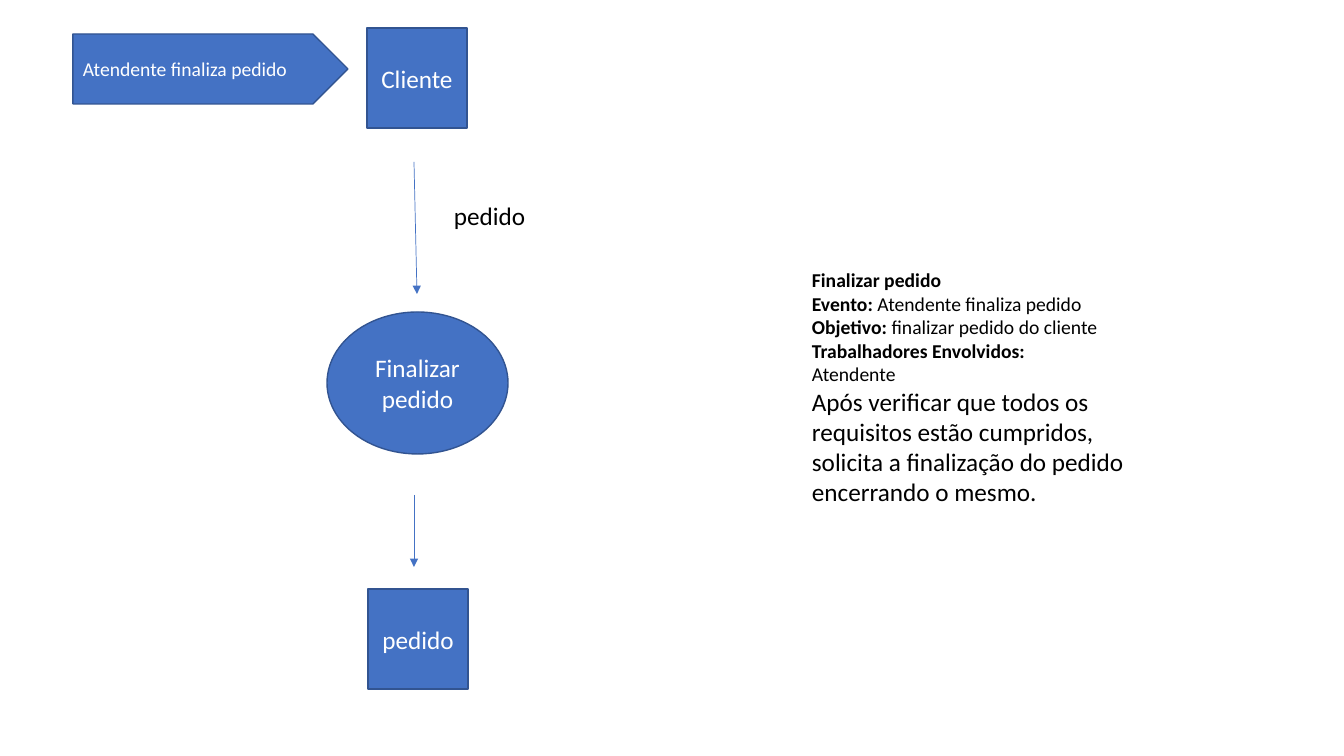
from pptx import Presentation
from pptx.dml.color import RGBColor
from pptx.enum.shapes import MSO_CONNECTOR, MSO_SHAPE
from pptx.enum.text import MSO_ANCHOR, PP_ALIGN
from pptx.oxml.ns import qn
from pptx.util import Emu, Pt
from lxml.etree import SubElement

# Content: boxes are (left, top, width, height) in px
STEPS = [
    ("Cliente", MSO_SHAPE.RECTANGLE, (367, 28, 100, 100), 18, PP_ALIGN.CENTER),
    ("Finalizar pedido", MSO_SHAPE.OVAL, (327, 312, 181, 142), 18, PP_ALIGN.CENTER),
    ("Atendente finaliza pedido", MSO_SHAPE.PENTAGON, (73, 34, 275, 70), 14, PP_ALIGN.JUSTIFY),
    ("pedido", MSO_SHAPE.RECTANGLE, (368, 589, 100, 100), 18, PP_ALIGN.CENTER),
]
FLOWS = [(414, 162, 417, 294), (414, 495, 414, 567)]
# Each summary line is (bold part, regular part)
SUMMARY = [
    ("Finalizar pedido", ""),
    ("Evento:", " Atendente finaliza pedido"),
    ("Objetivo:", " finalizar pedido do cliente"),
    ("Trabalhadores Envolvidos:", ""),
    ("", "Atendente"),
]
FLOW_LABEL = [("", "pedido")]
DESCRIPTION = [("", "Após verificar que todos os requisitos estão cumpridos, "
                    "solicita a finalização do pedido encerrando o mesmo.")]
NOTES = [
    (SUMMARY, (802, 263, 620, 129), 14, PP_ALIGN.JUSTIFY),
    (FLOW_LABEL, (444, 195, 197, 40), 18, PP_ALIGN.LEFT),
    (DESCRIPTION, (802, 381, 342, 163), 18, PP_ALIGN.LEFT),
]
BLUE, OUTLINE, WHITE, BLACK = "4472C4", "325491", "FFFFFF", "000000"
EMU_PER_PX = 914400 / 100.8


def px(*lengths):
    return [Emu(round(length * EMU_PER_PX)) for length in lengths]


def color(hex_code):
    return RGBColor.from_string(hex_code)


def write(frame, lines, size, ink, align, anchor=MSO_ANCHOR.TOP):
    frame.word_wrap = True
    frame.vertical_anchor = anchor
    for number, parts in enumerate(lines):
        paragraph = frame.add_paragraph() if number else frame.paragraphs[0]
        paragraph.alignment = align
        for bold, words in zip((True, False), parts):
            if words:
                run = paragraph.add_run()
                run.text = words
                run.font.name = "Calibri"
                run.font.size = Pt(size)
                run.font.bold = bold
                run.font.color.rgb = color(ink)


deck = Presentation()
deck.slide_width, deck.slide_height = px(1344, 756)
slide = deck.slides.add_slide(deck.slide_layouts[6])

# Process steps
for label, outline, box, size, align in STEPS:
    step = slide.shapes.add_shape(outline, *px(*box))
    step.shadow.inherit = False
    step.fill.solid()
    step.fill.fore_color.rgb = color(BLUE)
    step.line.color.rgb = color(OUTLINE)
    step.line.width = Pt(1)
    write(step.text_frame, [("", label)], size=size, ink=WHITE, align=align,
          anchor=MSO_ANCHOR.MIDDLE)

# Arrows between the steps
for ends in FLOWS:
    flow = slide.shapes.add_connector(MSO_CONNECTOR.STRAIGHT, *px(*ends))
    flow.line.color.rgb = color(BLUE)
    flow.line.width = Pt(0.5)
    SubElement(flow.line._get_or_add_ln(), qn("a:tailEnd"), type="triangle")
    SubElement(flow._element.spPr, qn("a:effectLst"))

# Flow label and process description
for lines, box, size, align in NOTES:
    note = slide.shapes.add_textbox(*px(*box))
    write(note.text_frame, lines, size=size, ink=BLACK, align=align)

deck.save("out.pptx")
